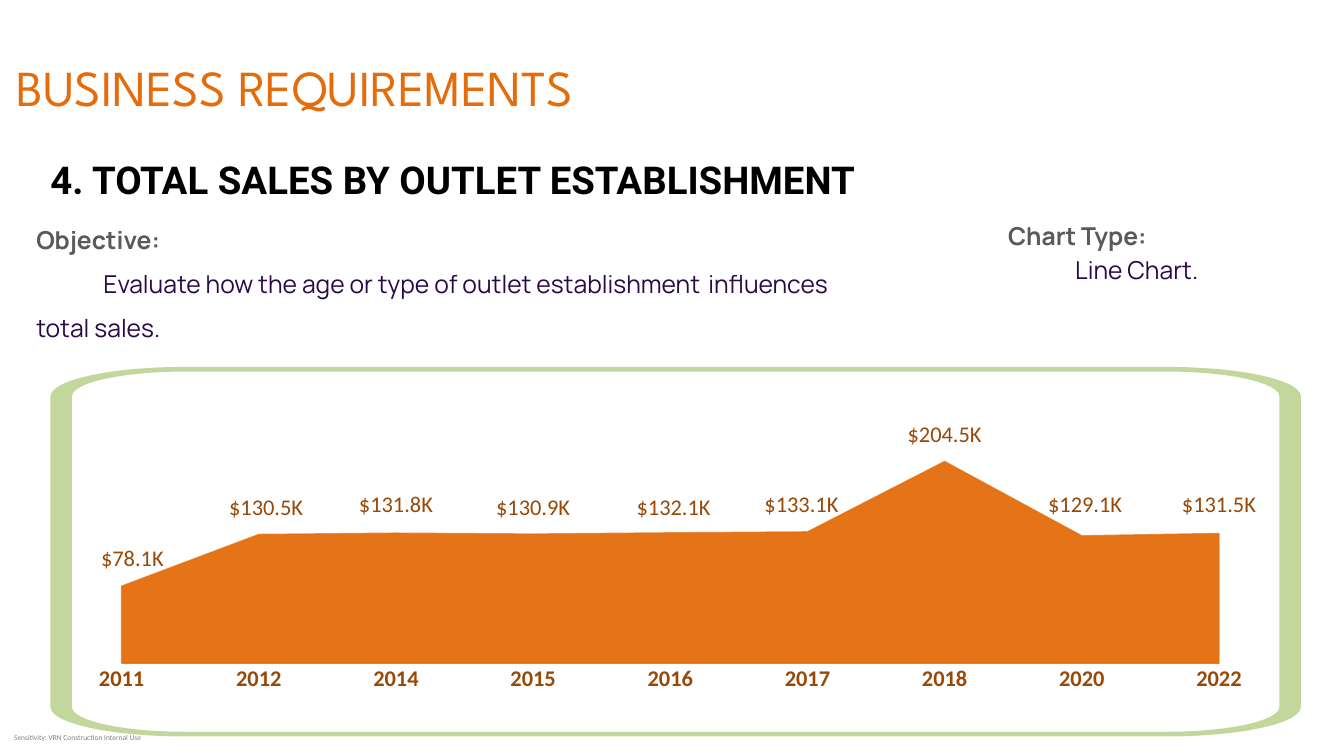
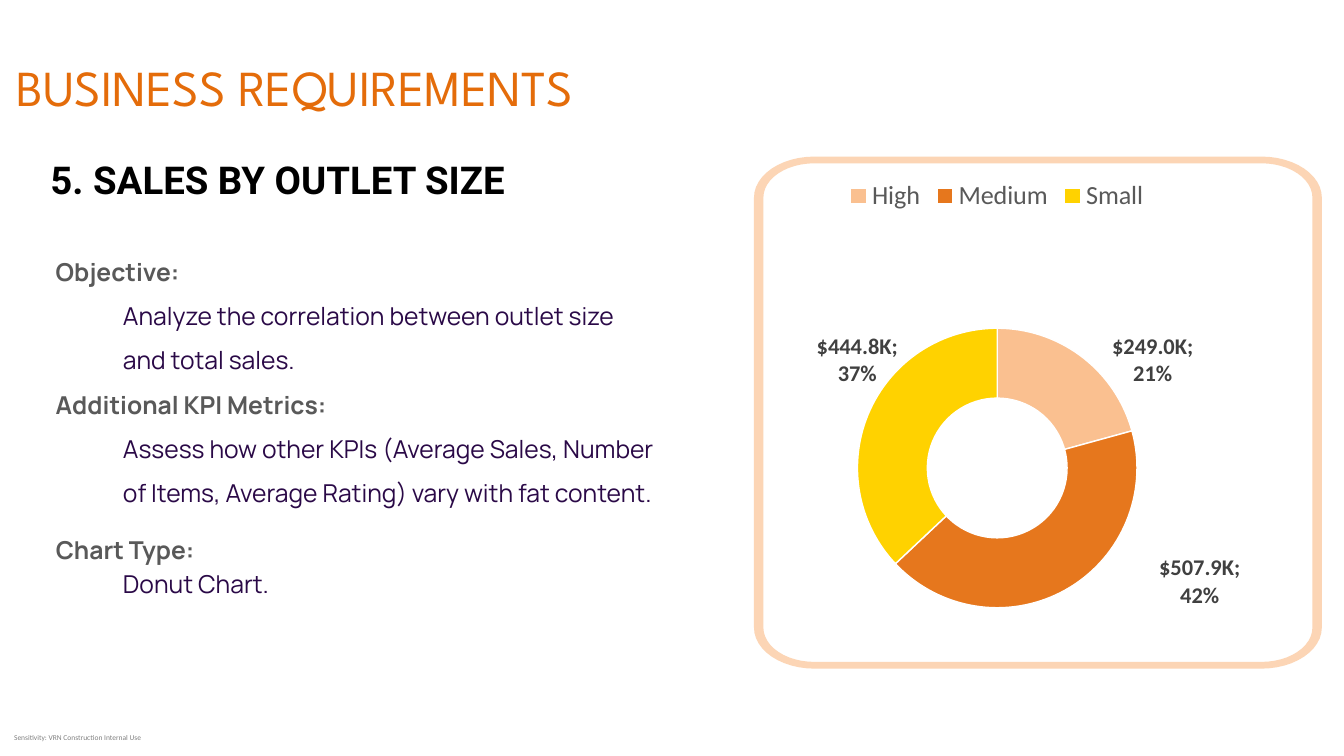
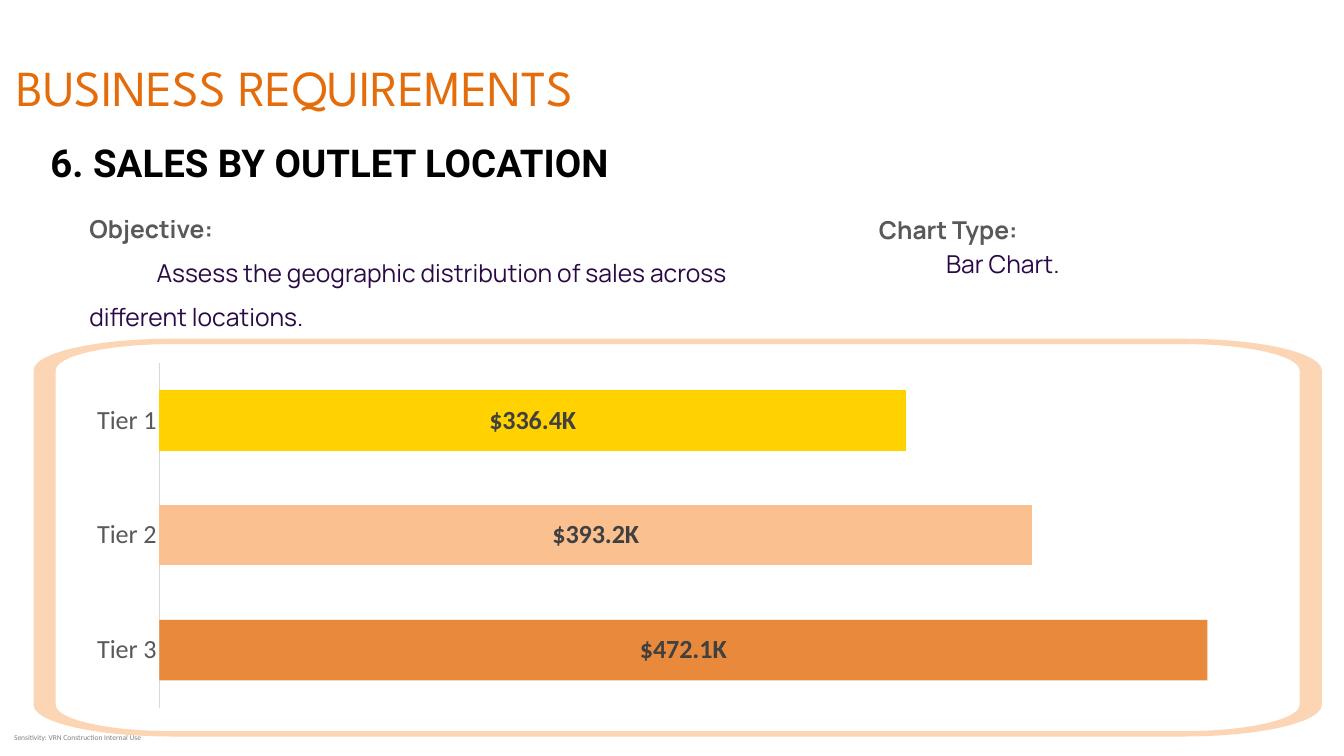
import copy
import math

import lxml.etree
import pptx
import pptx.chart.data
import pptx.dml.color
import pptx.enum.chart
import pptx.enum.text
import pptx.oxml.ns
import pptx.util

Inches = pptx.util.Inches
Pt = pptx.util.Pt
qn = pptx.oxml.ns.qn
ChartType = pptx.enum.chart.XL_CHART_TYPE

ORANGE, PEACH, YELLOW = "E46C0A", "FAC090", "FFD200"
PALE_ORANGE, GREEN, BROWN = "FCD5B5", "C3D69B", "984807"
BLACK, WHITE, GREY, DARK_GREY, PURPLE = "000000", "FFFFFF", "595959", "404040", "2A0947"
THOUSANDS = '"$"0.0,"K"'

FOOTER = {"name": "Calibri", "size": Pt(8), "color": BLACK, "alpha": 50}
TITLE = {"name": "League Spartan", "size": Pt(54), "color": ORANGE}
HEADING = {"name": "Roboto", "size": Pt(41.1), "color": BLACK, "bold": True}
LABEL = {"name": "Manrope", "size": Pt(26.4), "color": GREY, "bold": True}
BODY = {"name": "Manrope", "size": Pt(26.4), "color": PURPLE, "bold": False}


def paint(color_format, color, alpha=100):
    color_format.rgb = pptx.dml.color.RGBColor.from_string(color)
    if alpha < 100:
        for node in color_format._xFill.iter(qn("a:srgbClr")):
            lxml.etree.SubElement(node, qn("a:alpha"), val=str(alpha * 1000))


def fill_with(fill, color, alpha=100):
    fill.solid()
    paint(fill.fore_color, color, alpha)


def assign(target, formats):
    for name, value in formats.items():
        setattr(target, name, value)


def style_font(font, color, alpha=100, **formats):
    assign(font, formats)
    fill_with(font.fill, color, alpha)


def calibri(size, color, bold=False):
    return {"name": "Calibri", "size": Pt(size), "color": color, "bold": bold}


def outline(left, top, width, height, corner_x, corner_y, steps=12):
    near_x, far_x = left + corner_x, left + width - corner_x
    near_y, far_y = top + corner_y, top + height - corner_y
    centres = [(far_x, far_y), (near_x, far_y), (near_x, near_y), (far_x, near_y)]
    points = []
    for quarter, (x, y) in enumerate(centres):
        for step in range(steps + 1):
            angle = math.pi / 2 * (quarter + step / steps)
            points.append((Inches(x + corner_x * math.cos(angle)),
                           Inches(y + corner_y * math.sin(angle))))
    return points


class Report:
    def __init__(self):
        self.deck = pptx.Presentation()
        self.deck.slide_width, self.deck.slide_height = Inches(20), Inches(11.25)
        self.page = None

    def add_page(self, heading, heading_top, heading_width):
        self.page = self.deck.slides.add_slide(self.deck.slide_layouts[6])
        self.text((0.21, 10.91, 2.2, 0.13),
                  [("Sensitivity: VRN Construction Internal Use", FOOTER)])
        self.text((0.25, 0.61, 12.46, 1.1), [("BUSINESS REQUIREMENTS", TITLE)], Pt(81.4))
        self.text((0.75, heading_top, heading_width, 0.75), [(heading, HEADING)], Pt(57.5))

    def text(self, place, lines, spacing=1.0):
        box = self.page.shapes.add_textbox(*map(Inches, place))
        frame = box.text_frame
        assign(frame, {"margin_left": 0, "margin_right": 0, "margin_top": 0,
                       "margin_bottom": 0, "word_wrap": True,
                       "auto_size": pptx.enum.text.MSO_AUTO_SIZE.SHAPE_TO_FIT_TEXT})
        for number, (words, style) in enumerate(lines):
            para = frame.add_paragraph() if number else frame.paragraphs[0]
            para.line_spacing = spacing
            if "\t" in words:
                stops = lxml.etree.SubElement(para._p.get_or_add_pPr(), qn("a:tabLst"))
                lxml.etree.SubElement(stops, qn("a:tab"), pos=str(Inches(1)), algn="l")
            span = para.add_run()
            span.text = words
            style_font(span.font, **style)

    def notes(self, place, sections):
        lines = []
        for label, sentences in sections:
            lines.append((label, LABEL))
            lines += [("\t" + sentence, BODY) for sentence in sentences]
        self.text(place, lines, 1.5)

    def chart_type(self, left, top, width, kind):
        self.text((left, top, width, 1.01),
                  [("Chart Type:", LABEL), ("\t" + kind, BODY)], Pt(37))

    def frame(self, place, corner, border, color):
        left, top, width, height = place
        (corner_x, corner_y), (border_x, border_y) = corner, border
        outer = outline(*place, corner_x, corner_y)
        inner = outline(left + border_x, top + border_y, width - 2 * border_x,
                        height - 2 * border_y, corner_x - border_x, corner_y - border_y)
        inner.reverse()
        builder = self.page.shapes.build_freeform(*outer[0])
        builder.add_line_segments(outer[1:], close=True)
        builder.move_to(*inner[0])
        builder.add_line_segments(inner[1:], close=True)
        shape = builder.convert_to_shape()
        shape.shadow.inherit = False
        fill_with(shape.fill, color)
        shape.line.fill.background()

    def chart(self, kind, place, categories, values, plot_area, label_style, shifts=()):
        data = pptx.chart.data.CategoryChartData(number_format=THOUSANDS)
        data.categories = categories
        data.add_series("Series 1", values)
        chart = self.page.shapes.add_chart(kind, *map(Inches, place), data).chart
        chart.has_title = chart.has_legend = False
        style_font(chart.font, **calibri(24, BLACK))
        plot = chart.plots[0]
        is_doughnut = kind == ChartType.DOUGHNUT
        plot.vary_by_categories = is_doughnut
        labels = plot.series[0].data_labels
        assign(labels, {"show_value": True, "show_percentage": is_doughnut})
        if not is_doughnut:
            assign(labels, {"number_format": THOUSANDS, "number_format_is_linked": False})
        style_font(labels.font, **label_style)
        for node in labels._element.findall(qn("c:showLeaderLines")):
            node.set("val", "0")
        area = chart._chartSpace.chart.plotArea
        for node in area.findall(qn("c:layout")):
            area.remove(node)
        size = place[2:]
        area.insert(0, self.layout("xywh", plot_area, size * 2, inner=True))
        self.shift_labels(labels._element, shifts, size)
        return chart

    def layout(self, sides, lengths, size, inner=False):
        layout = lxml.etree.Element(qn("c:layout"))
        manual = lxml.etree.SubElement(layout, qn("c:manualLayout"))
        if inner:
            lxml.etree.SubElement(manual, qn("c:layoutTarget"), val="inner")
            for side in "xy":
                lxml.etree.SubElement(manual, qn(f"c:{side}Mode"), val="edge")
        for side, length, whole in zip(sides, lengths, size):
            lxml.etree.SubElement(manual, qn(f"c:{side}"), val=str(length / whole))
        return layout

    def shift_labels(self, labels, shifts, size):
        shared = [node for node in labels if node.tag != qn("c:showLeaderLines")]
        for index, shift in enumerate(shifts):
            label = lxml.etree.Element(qn("c:dLbl"))
            lxml.etree.SubElement(label, qn("c:idx"), val=str(index))
            label.append(self.layout("xy", shift, size))
            label.extend(copy.deepcopy(shared))
            labels.insert(index, label)

    def axes(self, chart, maximum, line_color, label_style):
        assign(chart.value_axis, {"visible": False, "has_major_gridlines": False,
                                  "minimum_scale": 0, "maximum_scale": maximum})
        axis = chart.category_axis
        no_tick = pptx.enum.chart.XL_TICK_MARK.NONE
        assign(axis, {"major_tick_mark": no_tick, "minor_tick_mark": no_tick,
                      "has_major_gridlines": False})
        style_font(axis.tick_labels.font, **label_style)
        axis.format.line.width = Pt(0.75)
        fill_with(axis.format.line.fill, line_color)

    def color_points(self, chart, colors, border=None):
        for index, (color, alpha) in enumerate(colors):
            style = chart.plots[0].series[0].points[index].format
            fill_with(style.fill, color, alpha)
            if border:
                style.line.width = Pt(1.5)
                fill_with(style.line.fill, border)


def add_establishment(report):
    report.add_page("4. TOTAL SALES BY OUTLET ESTABLISHMENT", 2.21, 15.75)
    report.notes((0.54, 3.12, 11.88, 1.94), [
        ("Objective:", ["Evaluate how the age or type of outlet establishment "
                        "\tinfluences total sales."])])
    report.chart_type(15, 3.21, 3.42, "Line Chart.")
    years = ["2011", "2012", "2014", "2015", "2016", "2017", "2018", "2020", "2022"]
    sales = [78100, 130500, 131800, 130900, 132100, 133100, 204500, 129100, 131500]
    shifts = [(0.16, -0.98), (0.11, -1.35), (0, -1.38), (0, -1.34), (0.05, -1.34),
              (-0.09, -1.38), (0, -1.89), (0.05, -1.4), (0, -1.38)]
    chart = report.chart(ChartType.AREA, (0.84, 5.64, 18.27, 5.32), years, sales,
                         (0.97, 0.56, 16.33, 3.67), calibri(24, BROWN), shifts)
    report.axes(chart, 250000, "BFBFBF", calibri(24, BROWN, True))
    style = chart.plots[0].series[0].format
    fill_with(style.fill, ORANGE, 94)
    style.line.width = Pt(1.5)
    fill_with(style.line.fill, ORANGE, 70)
    report.frame((0.75, 5.46, 18.61, 5.5), (1.99, 0.44), (0.32, 0.07), GREEN)


def add_size(report):
    report.add_page("5. SALES BY OUTLET SIZE", 2.21, 10.96)
    report.notes((0.83, 3.6, 9.67, 3.94), [
        ("Objective:", ["Analyze the correlation between outlet size",
                        "and total sales."]),
        ("Additional KPI Metrics:", ["Assess how other KPIs (Average Sales, Number",
                                     "of Items, Average Rating) vary with fat content."])])
    report.chart_type(0.83, 7.88, 6.71, "Donut Chart.")
    chart = report.chart(ChartType.DOUGHNUT, (10, 2.53, 9.67, 8.18),
                         ["High", "Medium", "Small"], [249000, 507900, 444800],
                         (2.76, 1.9, 4.16, 5.07), calibri(24, DARK_GREY, True),
                         [(1.37, -0.36), (2.25, 0.34), (-0.65, -0.98)])
    report.color_points(chart, [(PEACH, 100), (ORANGE, 92), (YELLOW, 100)], WHITE)
    chart.plots[0]._element.find(qn("c:holeSize")).set("val", "55")
    chart.has_legend = True
    assign(chart.legend, {"position": pptx.enum.chart.XL_LEGEND_POSITION.TOP,
                          "include_in_layout": False})
    style_font(chart.legend.font, **calibri(28, GREY))
    report.frame((11.22, 2.33, 8.45, 7.62), (0.9, 0.61), (0.14, 0.1), PALE_ORANGE)


def add_location(report):
    report.add_page("6. SALES BY OUTLET LOCATION", 1.96, 10.96)
    report.notes((1.33, 2.96, 10.5, 1.94), [
        ("Objective:", ["Assess the geographic distribution of sales across "
                        "\tdifferent locations."])])
    report.chart_type(13.08, 3.12, 3.58, "Bar Chart.")
    report.frame((0.5, 5.04, 19.17, 5.92), (2.05, 0.47), (0.33, 0.08), PALE_ORANGE)
    chart = report.chart(ChartType.BAR_CLUSTERED, (1.08, 5.29, 18.17, 5.35),
                         ["Tier 3", "Tier 2", "Tier 1"], [472100, 393200, 336400],
                         (1.29, 0.11, 16.52, 5.13), calibri(28, DARK_GREY, True))
    report.axes(chart, 500000, "D9D9D9", calibri(28, GREY))
    plot = chart.plots[0]
    plot.gap_width = 90
    plot.series[0].invert_if_negative = False
    plot.series[0].data_labels.position = pptx.enum.chart.XL_LABEL_POSITION.CENTER
    report.color_points(chart, [(ORANGE, 80), (PEACH, 100), (YELLOW, 100)])


def main():
    report = Report()
    add_establishment(report)
    add_size(report)
    add_location(report)
    report.deck.save("out.pptx")


if __name__ == "__main__":
    main()
